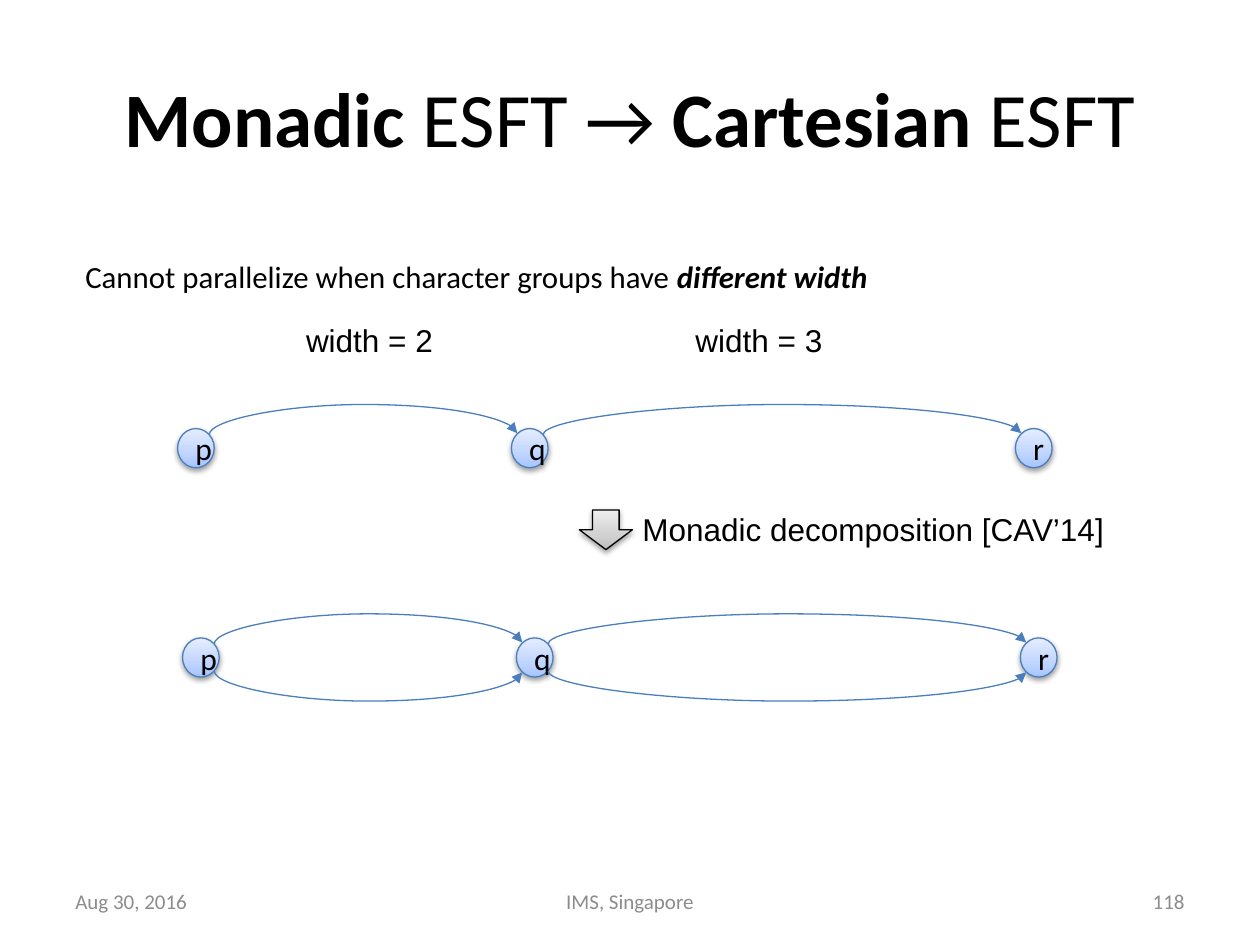
from copy import deepcopy

from lxml.etree import SubElement as Sub
from pptx import Presentation
from pptx.dml.color import RGBColor
from pptx.enum.shapes import MSO_CONNECTOR as Conn, MSO_SHAPE as Shape
from pptx.enum.text import MSO_ANCHOR as Anchor, PP_ALIGN as Align
from pptx.oxml.ns import qn
from pptx.util import Cm, Pt

BLACK = RGBColor(0x00, 0x00, 0x00)
GRAY = RGBColor(0x8C, 0x8C, 0x8C)
BLUE = RGBColor(0x4B, 0x7E, 0xBC)
BLUES = [RGBColor(0xA4, 0xC4, 0xFF), RGBColor(0xBF, 0xD4, 0xFF), RGBColor(0xE6, 0xEE, 0xFF)]
GRAYS = [RGBColor(0xBD, 0xBD, 0xBD), RGBColor(0xD1, 0xD1, 0xD1), RGBColor(0xEE, 0xEE, 0xEE)]
STOPS = [0, 0.35, 1]

NODE_W, NODE_H = 0.74, 0.79
NODES = [("p", 0), ("q", 6.73), ("r", 16.89)]
SKEW = 0.03   # small drop between the two ends of an arc
RISE = 0.61   # height of an arc


class Deck:
    def __init__(self):
        self.prs = Presentation()
        self.prs.slide_width, self.prs.slide_height = Cm(25.4), Cm(19.05)
        self.shapes = self.prs.slides.add_slide(self.prs.slide_layouts[6]).shapes

    def put_runs(self, frame, runs, size, font="Calibri", color=BLACK,
                 align=Align.LEFT, anchor=Anchor.TOP):
        """Each run is (text, style); the style holds b for bold, i for italic."""
        frame.word_wrap = True
        frame.vertical_anchor = anchor
        para = frame.paragraphs[0]
        para.alignment = align
        for text, style in runs:
            run = para.add_run()
            run.text = text
            face = run.font
            face.name, face.size, face.color.rgb = font, Pt(size), color
            face.bold, face.italic = "b" in style, "i" in style

    def text(self, x, y, w, h, runs, size, **style):
        box = self.shapes.add_textbox(Cm(x), Cm(y), Cm(w), Cm(h))
        self.put_runs(box.text_frame, runs, size, **style)

    def solid(self, kind, x, y, w, h, colors, edge):
        """A preset shape with a vertical gradient and a soft shadow."""
        shape = self.shapes.add_shape(kind, Cm(x), Cm(y), Cm(w), Cm(h))
        fill = shape.fill
        fill.gradient()
        fill.gradient_angle = 90
        stops = shape._element.spPr.find(".//" + qn("a:gsLst"))
        stops.append(deepcopy(stops[0]))
        for stop, pos, color in zip(fill.gradient_stops, STOPS, colors):
            stop.position, stop.color.rgb = pos, color
        shape.line.color.rgb, shape.line.width = edge, Pt(0.75)
        shape.shadow.inherit = False
        glow = Sub(shape._element.spPr.find(qn("a:effectLst")), qn("a:outerShdw"),
                   blurRad="40000", dist="20000", dir="5400000", rotWithShape="0")
        tint = Sub(glow, qn("a:srgbClr"), val="000000")
        Sub(tint, qn("a:alpha"), val="38000")
        return shape

    def node(self, name, x, y):
        shape = self.solid(Shape.OVAL, x, y, NODE_W, NODE_H, BLUES, BLUE)
        self.put_runs(shape.text_frame, [(name, "")], 18,
                      align=Align.CENTER, anchor=Anchor.MIDDLE)

    def arc(self, x1, x2, y, up=True):
        """A curved arrow from x1 to x2, drawn upright and then turned."""
        span = x2 - x1
        mid = (x1 + x2) / 2
        line = self.shapes.add_connector(Conn.CURVE, 0, 0, 0, 0)
        line.left, line.top = Cm(mid - SKEW / 2), Cm(y - span / 2)
        line.width, line.height = Cm(SKEW), Cm(span)
        line.line.color.rgb, line.line.width = BLUE, Pt(0.75)
        props = line._element.spPr
        turn = props.find(qn("a:xfrm"))
        turn.set("rot", "5400000" if up else "16200000")
        turn.set("flipH", "1")
        if up:
            turn.set("flipV", "1")
        bend = props.find(".//" + qn("a:avLst"))
        Sub(bend, qn("a:gd"), name="adj1", fmla=f"val {round(RISE / SKEW * 100000)}")
        Sub(props.find(qn("a:ln")), qn("a:tailEnd"), type="triangle")
        Sub(props, qn("a:effectLst"))

    def chain(self, x, y, both=False):
        """The states p, q, r in a row, joined by arcs above or on both sides."""
        for name, dx in NODES:
            self.node(name, x + dx, y)
        for (_, a), (_, b) in zip(NODES, NODES[1:]):
            ends = x + a + 0.64, x + b + 0.12
            self.arc(*ends, y + 0.11)
            if both:
                self.arc(*ends, y + NODE_H - 0.11, up=False)


def main():
    deck = Deck()

    # Title and statement
    deck.text(1.27, 0.76, 22.86, 3.18,
              [("Monadic", "b"), (" ESFT → ", ""), ("Cartesian", "b"), (" ESFT", "")],
              44, align=Align.CENTER, anchor=Anchor.MIDDLE)
    deck.text(1.47, 5.08, 21.9, 0.89,
              [("Cannot parallelize when character groups have ", ""),
               ("different width", "bi")], 17.6)

    # State chains before and after decomposition
    deck.chain(3.58, 8.64)
    deck.chain(3.68, 12.86, both=True)
    deck.solid(Shape.DOWN_ARROW, 11.68, 10.28, 1.07, 0.8, GRAYS, BLACK)

    # Labels
    for x, y, w, label in [(5.92, 6.35, 5.28, "width = 2"),
                           (13.77, 6.35, 6.98, "width = 3"),
                           (12.7, 10.16, 11.18, "Monadic decomposition [CAV’14]")]:
        deck.text(x, y, w, 1.02, [(label, "")], 18, font="Arial")

    # Footer
    for x, w, label, align in [(1.27, 5.92, "Aug 30, 2016", Align.LEFT),
                               (8.68, 8.04, "IMS, Singapore", Align.CENTER),
                               (18.21, 5.92, "118", Align.RIGHT)]:
        deck.text(x, 17.65, w, 1.02, [(label, "")], 12, color=GRAY,
                  align=align, anchor=Anchor.MIDDLE)

    deck.prs.save("out.pptx")


if __name__ == "__main__":
    main()
